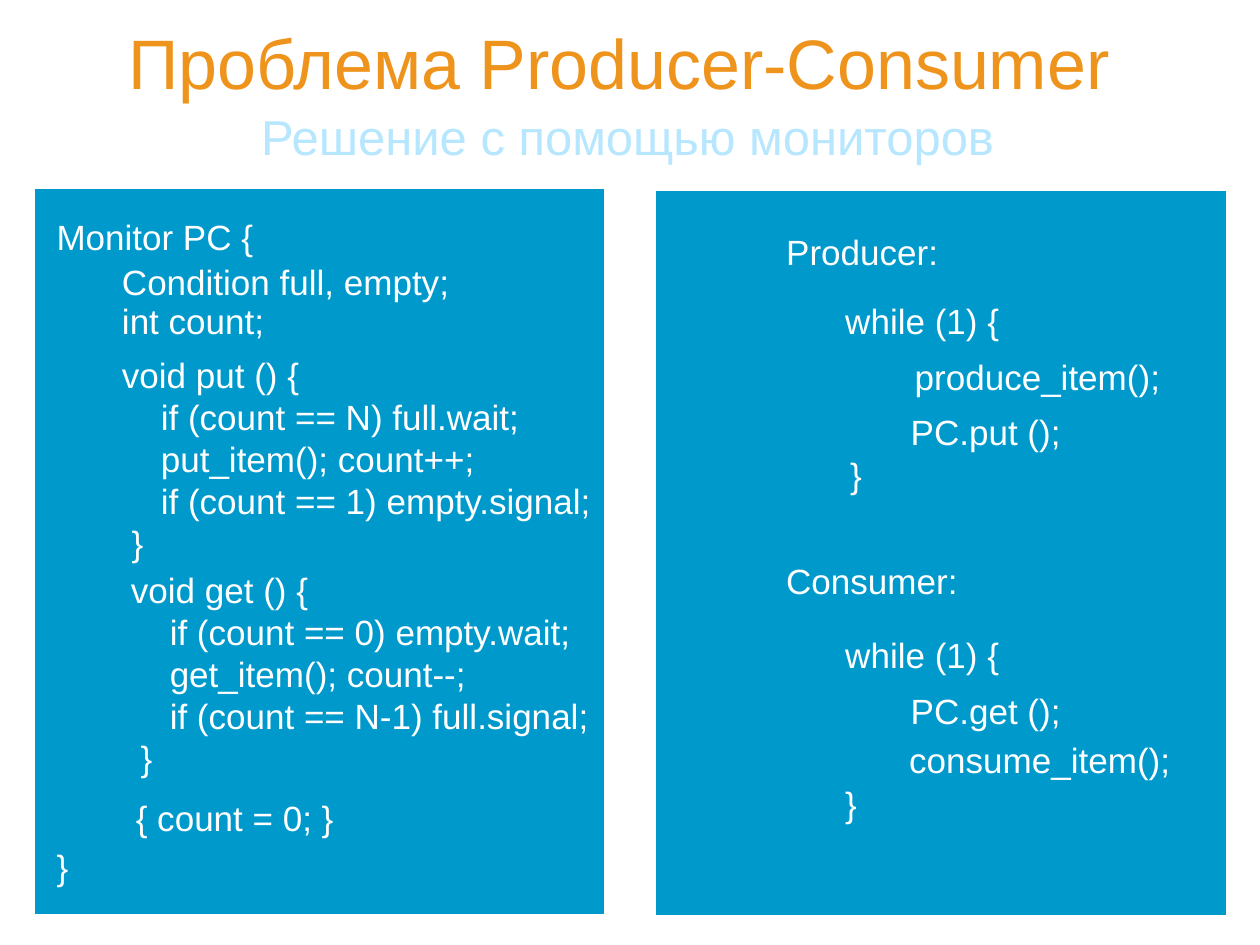
from dataclasses import dataclass

from pptx import Presentation
from pptx.dml.color import RGBColor
from pptx.enum.shapes import MSO_SHAPE
from pptx.enum.text import MSO_ANCHOR, MSO_AUTO_SIZE, PP_ALIGN
from pptx.util import Cm, Pt

RECT = MSO_SHAPE.RECTANGLE
MID, TOP = MSO_ANCHOR.MIDDLE, MSO_ANCHOR.TOP
NONE, GROW = MSO_AUTO_SIZE.NONE, MSO_AUTO_SIZE.SHAPE_TO_FIT_TEXT
LEFT, MIDDLE = PP_ALIGN.LEFT, PP_ALIGN.CENTER


@dataclass(frozen=True)
class Theme:
    font: str = "Arial"
    head: str = "EE941C"
    sub: str = "B7E7FF"
    code: str = "FFFFFF"
    panel: str = "0099CC"
    edge: str = "FFFFFF"
    head_size: int = 40
    sub_size: int = 28
    code_size: int = 20


def write(frame, text, font, size, color, align=LEFT, anchor=TOP, fit=GROW, space=1.0):
    frame.word_wrap = True
    frame.auto_size = fit
    frame.vertical_anchor = anchor
    frame.text = text
    for para in frame.paragraphs:
        para.alignment = align
        para.line_spacing = space
        para.space_before = Pt(0)
        para.font.name = font
        para.font.size = Pt(size)
        para.font.color.rgb = RGBColor.from_string(color)


class Deck:
    def __init__(self, theme):
        self.theme = theme
        self.file = Presentation()
        self.file.slide_width = Cm(25.4)
        self.file.slide_height = Cm(19.05)
        self.slide = self.file.slides.add_slide(self.file.slide_layouts[5])

    def panel(self, x, y, w, h):
        box = self.slide.shapes.add_shape(RECT, Cm(x), Cm(y), Cm(w), Cm(h))
        box.shadow.inherit = False
        box.fill.solid()
        box.fill.fore_color.rgb = RGBColor.from_string(self.theme.panel)
        box.line.color.rgb = RGBColor.from_string(self.theme.edge)
        box.line.width = Pt(0.75)

    def title(self, text, x, y, w, h):
        head = self.slide.shapes.title
        head.left, head.top, head.width, head.height = Cm(x), Cm(y), Cm(w), Cm(h)
        look = self.theme
        write(head.text_frame, text, font=look.font, size=look.head_size,
              color=look.head, align=MIDDLE, anchor=MID, fit=NONE, space=0.8)

    def label(self, text, x, y, w, h, **form):
        box = self.slide.shapes.add_textbox(Cm(x), Cm(y), Cm(w), Cm(h))
        write(box.text_frame, text, font=self.theme.font, **form)

    def sub(self, text, x, y, w, h):
        self.label(text, x, y, w, h, size=self.theme.sub_size,
                   color=self.theme.sub, align=MIDDLE)

    def code(self, text, x, y, w):
        high = 1.12 if "\n" not in text else 4.5
        self.label(text, x, y, w, high, size=self.theme.code_size, color=self.theme.code)


PUT = """void put () {
    if (count == N) full.wait;
    put_item(); count++;
    if (count == 1) empty.signal;
 }"""

GET = """void get () {
    if (count == 0) empty.wait;
    get_item(); count--;
    if (count == N-1) full.signal;
 }"""

MONITOR = [
    ("Monitor PC {", 0.89, 4.22, 11.15),
    ("}", 0.89, 16.92, 2.54),
    ("Condition full, empty;", 2.21, 5.13, 8.71),
    ("int count;", 2.21, 5.92, 7.7),
    (PUT, 2.21, 7.01, 12.5),
    ("{ count = 0; }", 2.49, 15.93, 7.7),
    (GET, 2.39, 11.33, 12.5),
]

LOOPS = [
    ("Producer:", 15.6, 4.52, 5.21),
    ("while (1) {", 16.79, 5.92, 5.21),
    ("produce_item();", 18.19, 7.04, 7.11),
    ("PC.put ();", 18.11, 8.15, 4.7),
    ("}", 16.89, 9.02, 5.21),
    ("Consumer:", 15.6, 11.15, 5.21),
    ("while (1) {", 16.79, 12.65, 5.21),
    ("PC.get ();", 18.11, 13.77, 4.19),
    ("consume_item();", 18.08, 14.76, 7.11),
    ("}", 16.79, 15.65, 5.21),
]


def main():
    deck = Deck(Theme())
    for x, y in ((13.21, 3.84), (0.69, 3.8)):
        deck.panel(x, y, 11.51, 14.63)
    deck.title("Проблема Producer-Consumer", 0.65, 0.4, 23.65, 2)
    deck.sub("Решение с помощью мониторов", 1.5, 2.03, 22.3, 1.45)
    for line in LOOPS + MONITOR:
        deck.code(*line)
    deck.file.save("out.pptx")


if __name__ == "__main__":
    main()
